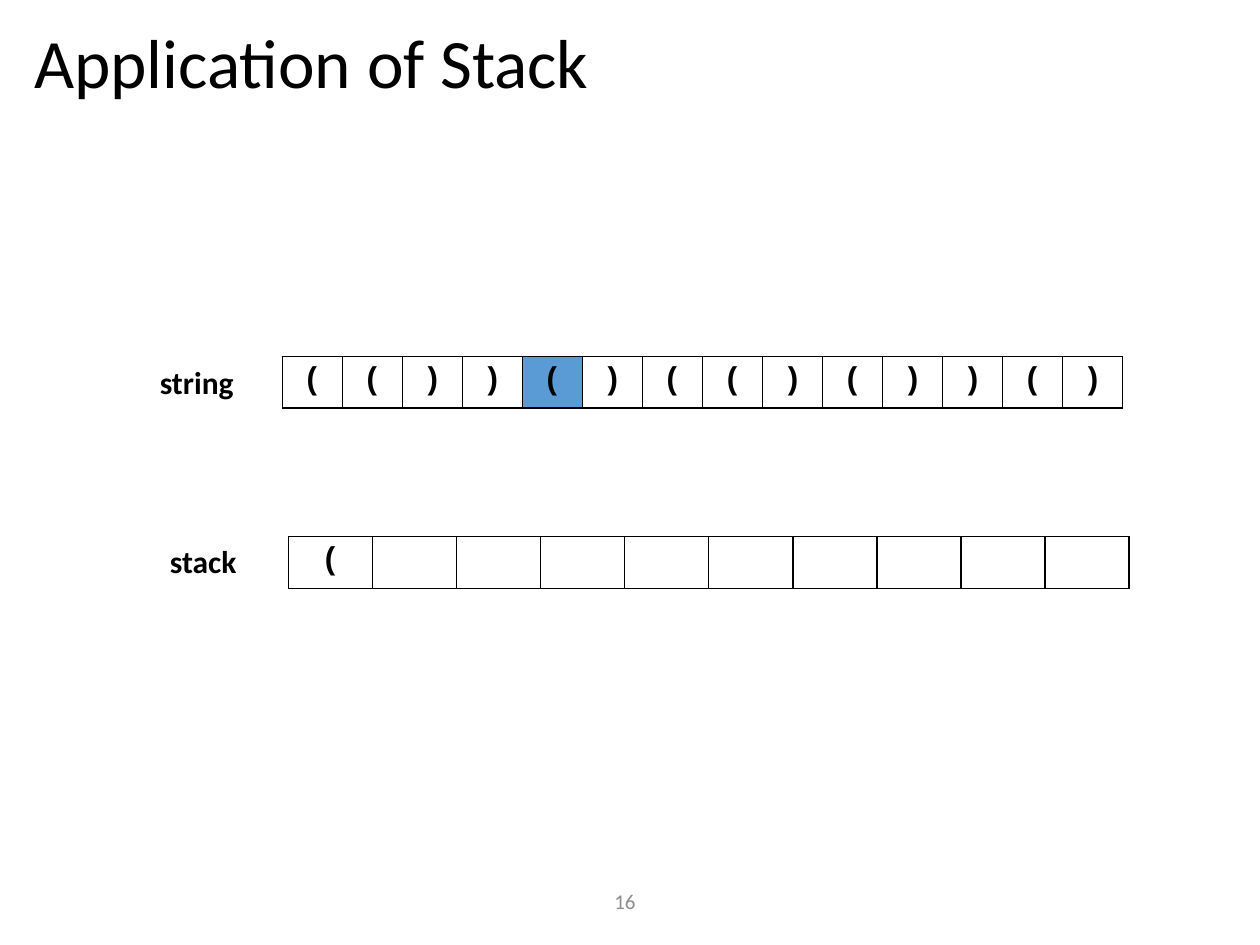
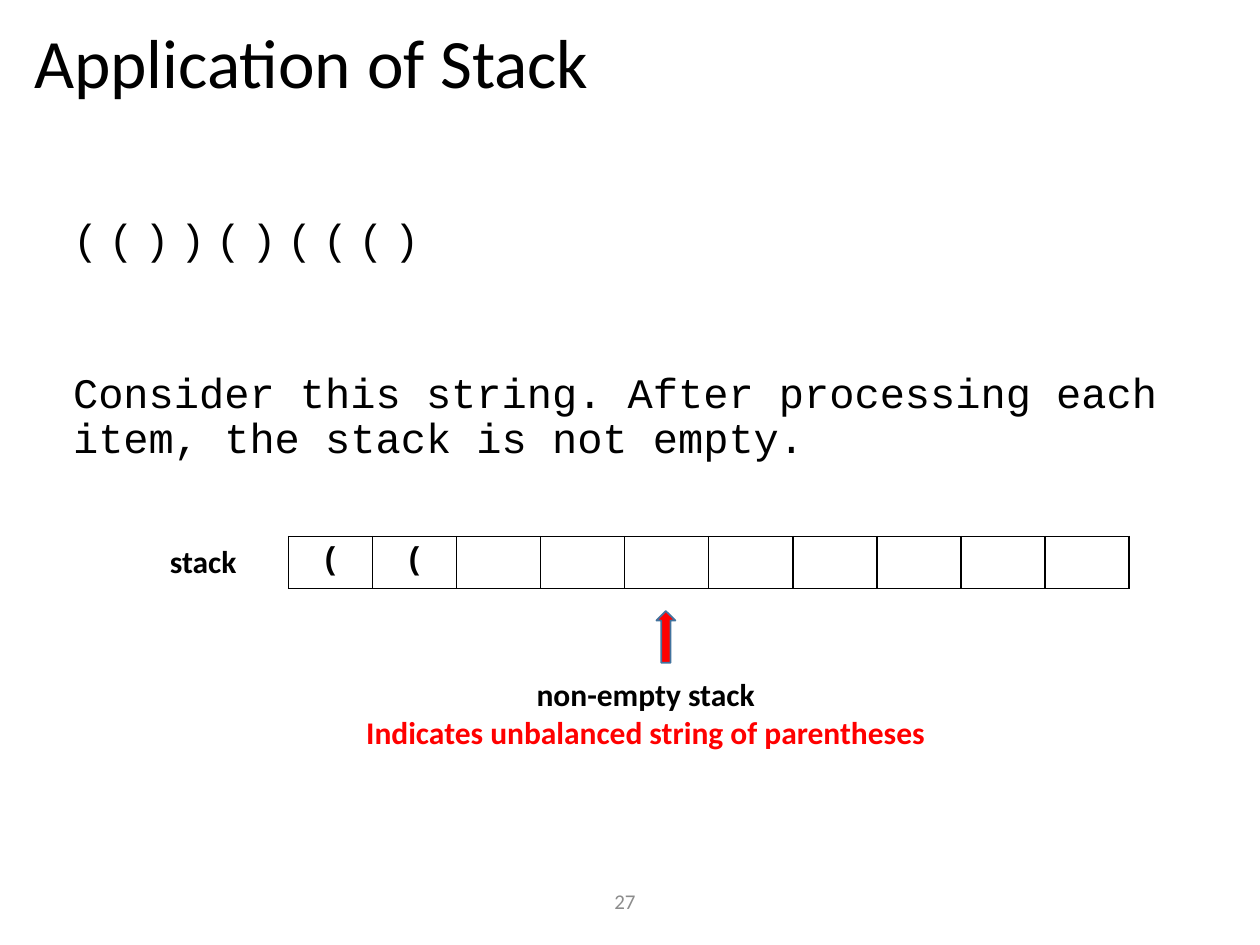
"""Build two slides on checking balanced parentheses with a stack."""
from dataclasses import dataclass

from lxml import etree
from pptx import Presentation
from pptx import util as u
from pptx.dml.color import RGBColor
from pptx.enum import shapes, text
from pptx.oxml.ns import qn

COLORS = {"ink": "000000", "number": "8C8C8C", "current": "5B9BD5",
          "alert": "FF0000", "arrow_line": "43739E"}
SANS, MONO = "Calibri", "Courier New"
ROW_WIDTH, ROW_HEIGHT = 6.67, 0.41


@dataclass(frozen=True)
class Box:
    """Position and size in inches."""
    left: float
    top: float
    width: float
    height: float

    def lengths(self) -> tuple:
        """Return the four values as lengths."""
        return tuple(u.Inches(v) for v in (self.left, self.top, self.width, self.height))


@dataclass(frozen=True)
class CellRow:
    """A labelled row of equal cells, with one cell optionally highlighted."""
    label: str
    label_box: Box
    left: float
    top: float
    items: str
    cell_count: int
    current: int = -1


TITLE_BOX = Box(0.17, 0.18, 9.62, 0.74)
NUMBER_BOX = Box(2.62, 6.95, 4.68, 0.4)
BODY_BOX = Box(0.48, 1.68, 9.1, 4.93)
VERDICT_BOX = Box(2.37, 5.31, 5.51, 0.71)
ARROW_BOX = Box(5.21, 4.85, 0.15, 0.41)


def color(name: str) -> RGBColor:
    """Look up a named colour."""
    return RGBColor.from_string(COLORS[name])


def set_font(paragraph, name: str, size: float, ink: str = "ink", bold: bool = False) -> None:
    """Format all the text of a paragraph."""
    font = paragraph.font
    font.name, font.size, font.bold = name, u.Pt(size), bold
    font.color.rgb = color(ink)


def place(shape, box: Box) -> None:
    """Move and size a shape."""
    shape.left, shape.top, shape.width, shape.height = box.lengths()


def add_label(slide, box: Box, lines: list[tuple[str, str]], size: float = 18,
              bold: bool = True, align=text.PP_ALIGN.LEFT):
    """Add a text box of (text, colour) lines."""
    frame = slide.shapes.add_textbox(*box.lengths()).text_frame
    frame.word_wrap = True
    frame.text = "\n".join(line for line, _ in lines)
    for paragraph, (_, ink) in zip(frame.paragraphs, lines):
        paragraph.alignment = align
        set_font(paragraph, SANS, size, ink, bold)
    return frame


def start_slide(presentation, layout: int, number: str):
    """Add a slide with the shared title and slide number."""
    slide = presentation.slides.add_slide(presentation.slide_layouts[layout])
    title = slide.shapes.title
    place(title, TITLE_BOX)
    frame = title.text_frame
    frame.text = "Application of Stack"
    frame.vertical_anchor = text.MSO_ANCHOR.TOP
    frame.auto_size = text.MSO_AUTO_SIZE.NONE
    paragraph = frame.paragraphs[0]
    paragraph.alignment, paragraph.line_spacing = text.PP_ALIGN.LEFT, 0.9
    set_font(paragraph, SANS, 39.6)
    number_frame = add_label(slide, NUMBER_BOX, [(number, "number")], 12, False,
                             text.PP_ALIGN.CENTER)
    number_frame.vertical_anchor = text.MSO_ANCHOR.MIDDLE
    return slide


def add_borders(cell) -> None:
    """Draw a thin line on each side of a cell."""
    properties = cell._tc.get_or_add_tcPr()
    for index, side in enumerate(("lnL", "lnR", "lnT", "lnB")):
        line = etree.Element(qn(f"a:{side}"), w=str(u.Pt(1)))
        fill = etree.SubElement(line, qn("a:solidFill"))
        etree.SubElement(fill, qn("a:srgbClr"), val=COLORS["ink"])
        properties.insert(index, line)


def add_cell_row(slide, row: CellRow) -> None:
    """Draw a label and its table of cells."""
    box = Box(row.left, row.top, ROW_WIDTH, ROW_HEIGHT)
    table = slide.shapes.add_table(1, row.cell_count, *box.lengths()).table
    table.first_row = table.horz_banding = False
    for index, column in enumerate(table.columns):
        column.width = u.Inches(ROW_WIDTH / row.cell_count)
        cell = table.cell(0, index)
        if index == row.current:
            cell.fill.solid()
            cell.fill.fore_color.rgb = color("current")
        else:
            cell.fill.background()
        add_borders(cell)
        if index < len(row.items):
            cell.text = row.items[index]
            paragraph = cell.text_frame.paragraphs[0]
            paragraph.alignment = text.PP_ALIGN.CENTER
            set_font(paragraph, MONO, 18, bold=True)
    add_label(slide, row.label_box, [(row.label, "ink")])


def stack_row(items: str) -> CellRow:
    """Describe the stack with its current items."""
    return CellRow("stack", Box(1.25, 4.25, 0.89, 0.4), 2.29, 4.26, items, 10)


def fill_body(slide) -> None:
    """Write the example string and its explanation."""
    body = slide.placeholders[1]
    place(body, BODY_BOX)
    frame = body.text_frame
    frame.text = ("(())()((()\nConsider this string. After processing each item, "
                  "the stack is not empty.")
    frame.auto_size = text.MSO_AUTO_SIZE.NONE
    for paragraph, space in zip(frame.paragraphs, (3, 62)):
        paragraph.line_spacing, paragraph.space_before = 0.9, u.Pt(space)
        set_font(paragraph, MONO, 24)
        properties = paragraph._p.get_or_add_pPr()
        properties.set("marL", "0")
        properties.set("indent", "0")
        bullet = etree.Element(qn("a:buNone"))
        properties.find(qn("a:spcBef")).addnext(bullet)
    example = frame.paragraphs[0].runs[0]
    example._r.get_or_add_rPr().set("spc", "600")


def add_arrow(slide) -> None:
    """Point up at the stack."""
    arrow = slide.shapes.add_shape(shapes.MSO_SHAPE.UP_ARROW, *ARROW_BOX.lengths())
    arrow.shadow.inherit = False
    arrow.fill.solid()
    arrow.fill.fore_color.rgb = color("alert")
    arrow.line.color.rgb = color("arrow_line")
    arrow.line.width = u.Pt(1)


def main() -> None:
    """Build and save the presentation."""
    presentation = Presentation()
    presentation.slide_width, presentation.slide_height = u.Inches(10), u.Inches(7.5)

    processing = start_slide(presentation, 5, "16")
    add_cell_row(processing, stack_row("("))
    string = "(())()(()())()"
    add_cell_row(processing, CellRow("string", Box(1.17, 2.83, 0.93, 0.4), 2.24, 2.83,
                                     string, len(string), current=4))

    unbalanced = start_slide(presentation, 1, "27")
    fill_body(unbalanced)
    add_cell_row(unbalanced, stack_row("(("))
    add_label(unbalanced, VERDICT_BOX,
              [("non-empty stack", "ink"),
               ("Indicates unbalanced string of parentheses", "alert")],
              align=text.PP_ALIGN.CENTER)
    add_arrow(unbalanced)

    presentation.save("out.pptx")


if __name__ == "__main__":
    main()
